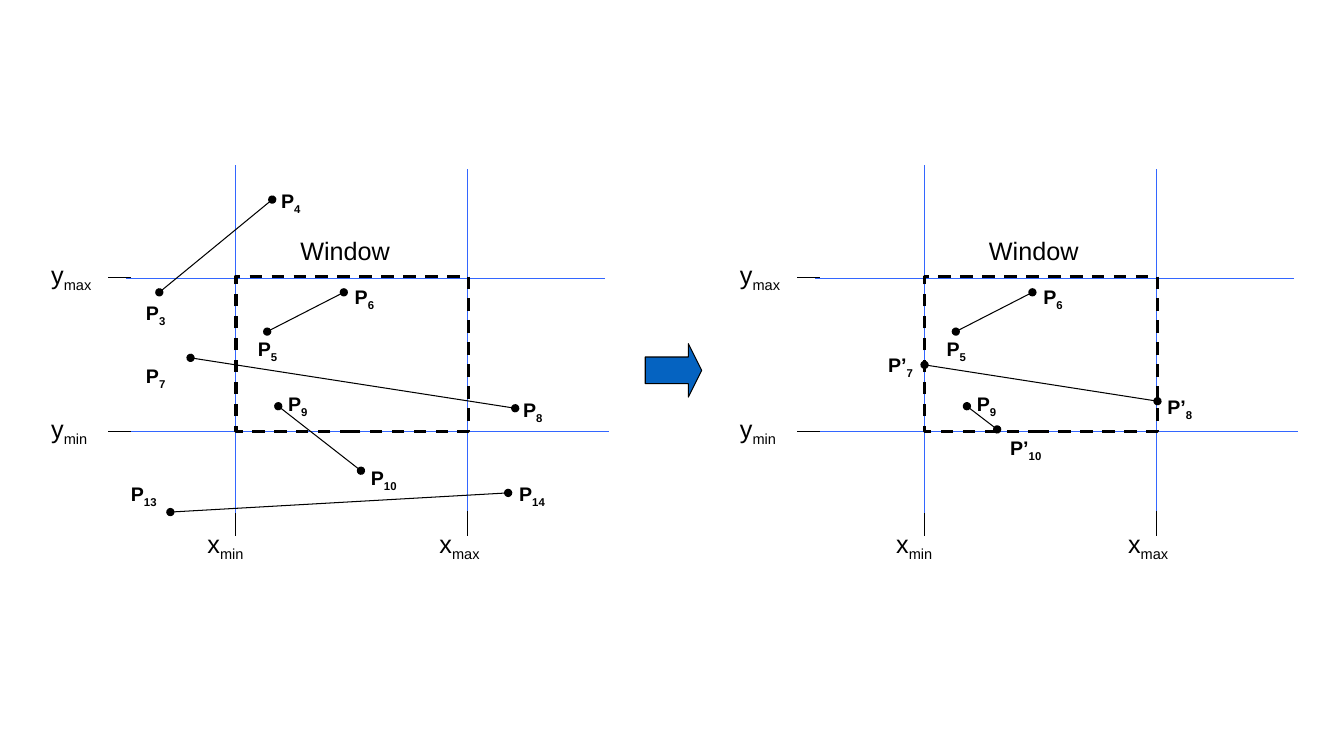
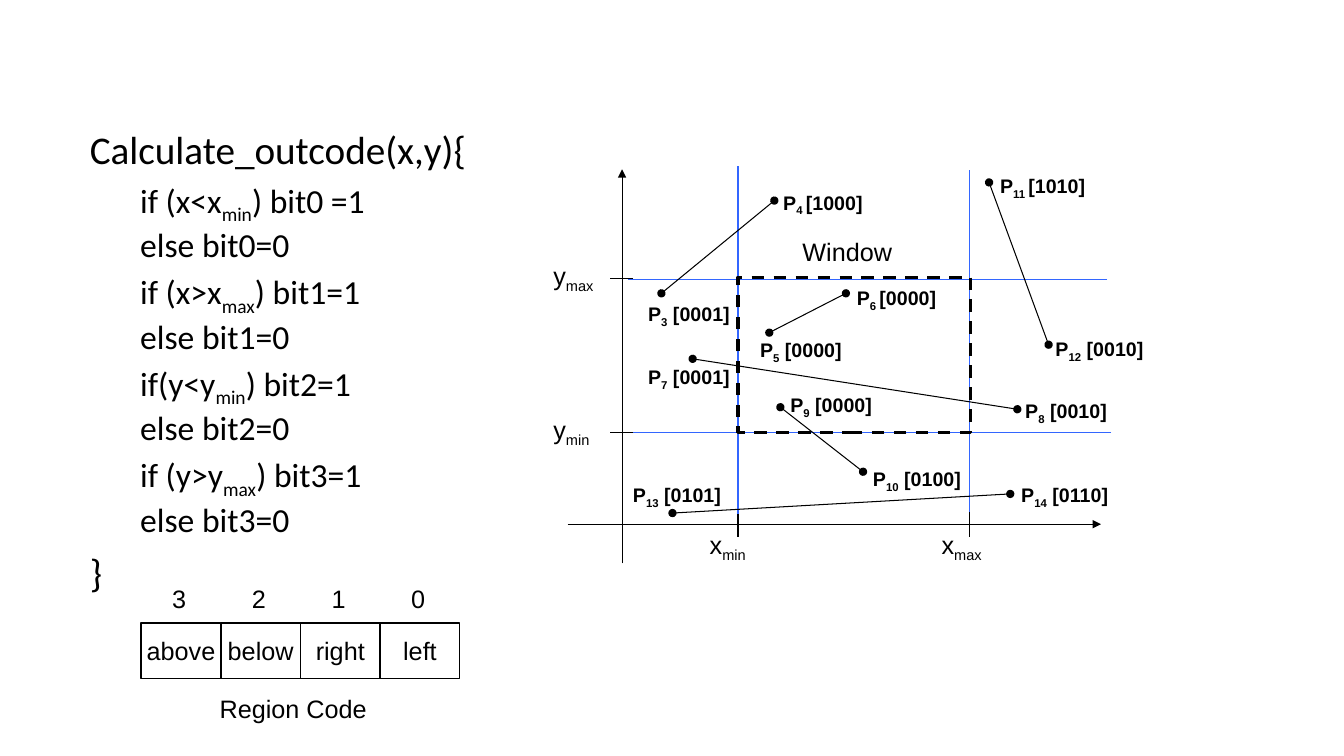
from dataclasses import dataclass

from lxml import etree
from pptx import Presentation
from pptx.dml.color import RGBColor
from pptx.enum.dml import MSO_LINE
from pptx.enum.shapes import MSO_CONNECTOR, MSO_SHAPE
from pptx.enum.text import MSO_ANCHOR, MSO_AUTO_SIZE, PP_ALIGN
from pptx.oxml.ns import qn
from pptx.util import Pt

PX = 9144  # EMU per px, 100 px to the inch
RECT, ARROW = MSO_SHAPE.RECTANGLE, MSO_SHAPE.RIGHT_ARROW
STRAIGHT, DASH = MSO_CONNECTOR.STRAIGHT, MSO_LINE.DASH
LEFT, CENTER = PP_ALIGN.LEFT, PP_ALIGN.CENTER
TOP, MIDDLE = MSO_ANCHOR.TOP, MSO_ANCHOR.MIDDLE
NOFIT = MSO_AUTO_SIZE.NONE


@dataclass(frozen=True)
class Theme:
    ink: str = "000000"
    grid: str = "3366FF"
    arrow: str = "0563C1"
    sans: str = "Arial"
    body: str = "Calibri"
    head: int = 28
    item: int = 24
    label: int = 18
    point: int = 14
    thin: float = 0.75
    cell: float = 1
    bold: float = 2.25


T = Theme()

# Point and label corner, from the panel's top left; "|" toggles subscript
POINTS = {
    "P|3": (117, 126, 94, 130), "P|4": (229, 34, 228, 19),
    "P|5": (224, 165, 205, 165), "P|6": (300, 126, 301, 114),
    "P|7": (148, 191, 94, 192), "P|8": (470, 241, 468, 226),
    "P|9": (235, 239, 235, 220), "P|10": (317, 303, 317, 293),
    "P|11": (442, 16, 443, 3), "P|12": (501, 177, 498, 164),
    "P|13": (128, 344, 79, 309), "P|14": (463, 325, 464, 309),
    "P’|7": (193, 198, 147, 181), "P’|8": (424, 234, 424, 223),
    "P’|10": (265, 262, 268, 264),
}
CODES = {
    "P|3": "| [0001]", "P|4": " |[1000]", "P|5": "| [0000]",
    "P|6": " |[0000]", "P|7": "| [0001]", "P|8": "| [0010]",
    "P|9": "| [0000]", "P|10": "| [0100]", "P|11": " |[1010]",
    "P|12": "| [0010]", "P|13": "| [0101]", "P|14": "| [0110]",
}
LINES = [("P|3", "P|4"), ("P|5", "P|6"), ("P|7", "P|8"),
         ("P|9", "P|10"), ("P|13", "P|14")]
CLIPPED = [("P|5", "P|6"), ("P’|7", "P’|8"), ("P|9", "P’|10")]
CODE = [
    "Calculate_outcode(x,y){",
    "if (x<x|min|) bit0 =1", "else bit0=0",
    "if (x>x|max|) bit1=1", "else bit1=0",
    "if(y<y|min|) bit2=1", "else bit2=0",
    "if (y>y|max|) bit3=1", "else bit3=0",
    "}",
]


def emu(*vals):
    return [round(v * PX) for v in vals]


def rgb(tint):
    return RGBColor.from_string(tint)


def write(para, words, size, font=T.sans, bold=False):
    """Add runs to a paragraph; parts between bars are subscripts."""
    for i, part in enumerate(words.split("|")):
        run = para.add_run()
        run.text = part
        run.font.name, run.font.size = font, Pt(size)
        run.font.bold = bold
        run.font.color.rgb = rgb(T.ink)
        if i % 2:
            run.font._element.set("baseline", "-25000")


def fill_text(shape, words, size=T.label, align=LEFT, anchor=TOP,
              wrap=True, bold=False):
    frame = shape.text_frame
    frame.word_wrap, frame.auto_size = wrap, NOFIT
    frame.vertical_anchor = anchor
    para = frame.paragraphs[0]
    para.alignment = align
    write(para, words, size, bold=bold)


def text(shapes, words, x, y, w, h=40, **look):
    fill_text(shapes.add_textbox(*emu(x, y, w, h)), words, **look)


def block(shapes, kind, x, y, w, h, width, fill=None, dash=None):
    shape = shapes.add_shape(kind, *emu(x, y, w, h))
    shape.shadow.inherit = False
    if fill:
        shape.fill.solid()
        shape.fill.fore_color.rgb = rgb(fill)
    else:
        shape.fill.background()
    shape.line.color.rgb, shape.line.width = rgb(T.ink), Pt(width)
    if dash:
        shape.line.dash_style = dash
    return shape


def line(shapes, x1, y1, x2, y2, tint=T.ink, head=None, tail=None):
    link = shapes.add_connector(STRAIGHT, *emu(x1, y1, x2, y2))
    link.line.color.rgb, link.line.width = rgb(tint), Pt(T.thin)
    props = link._element.spPr
    for tag, end in (("a:headEnd", head), ("a:tailEnd", tail)):
        if end:
            etree.SubElement(props.find(qn("a:ln")), qn(tag), type=end)
    etree.SubElement(props, qn("a:effectLst"))


def panel(slide, x, y, pairs, codes=None, axes=False):
    """Draw the clip window, its grid and the given point pairs."""
    shapes = slide.shapes.add_group_shape().shapes

    def rule(x1, y1, x2, y2, **look):
        line(shapes, x + x1, y + y1, x + x2, y + y2, **look)

    for ends in ((193, 0, 193, 347), (423, 4, 423, 351),
                 (559, 112, 84, 112), (563, 264, 89, 264)):
        rule(*ends, tint=T.grid)
    if axes:
        rule(24, 355, 553, 355, tail="triangle")
        rule(78, 394, 78, 3, tail="triangle")
    block(shapes, RECT, x + 193, y + 110, 231, 154, T.bold, dash=DASH)
    for ends in ((89, 111, 66, 111), (89, 264, 66, 264),
                 (193, 345, 193, 368), (423, 343, 423, 368)):
        rule(*ends)
    for words, left, top in (("y|max", 0, 88), ("y|min", 0, 241),
                             ("x|min", 155, 355), ("x|max", 385, 355)):
        text(shapes, words, x + left, y + top, 70)
    text(shapes, "Window", x + 247, y + 65, 115)
    for pair in pairs:
        (x1, y1, *_), (x2, y2, *_) = (POINTS[name] for name in pair)
        rule(x1, y1, x2, y2, head="oval", tail="oval")
        for name in pair:
            left, top = POINTS[name][2:]
            tag = codes[name] if codes else ""
            text(shapes, name + tag, x + left, y + top,
                 120 if codes else 60, 34, size=T.point, bold=True)


def listing(slide, x, y, w, h):
    """Set the code in the body placeholder, inner lines indented."""
    body = slide.placeholders[1]
    body.left, body.top, body.width, body.height = emu(x, y, w, h)
    frame = body.text_frame
    frame.auto_size = NOFIT
    for i, words in enumerate(CODE):
        para = frame.add_paragraph() if i else frame.paragraphs[0]
        inner = 0 < i < len(CODE) - 1
        para.level = int(inner)
        para.line_spacing = 0.9
        para.space_before = Pt(5 if inner else 10)
        props = para._p.get_or_add_pPr()
        props.set("marL", str(50 * PX if inner else 0))
        props.set("indent", "0")
        etree.SubElement(props, qn("a:buNone"))
        write(para, words, T.item if inner else T.head, font=T.body)


def region(slide, x, y):
    """Draw the four code bits with their numbers and caption."""
    shapes = slide.shapes.add_group_shape().shapes
    step = 79
    names = ("above", "below", "right", "left")
    for i, name in enumerate(names):
        left = x + i * step
        cell = block(shapes, RECT, left, y + 44, step, 55, T.cell)
        fill_text(cell, name, align=CENTER, anchor=MIDDLE, wrap=False)
        text(shapes, str(len(names) - 1 - i), left + 21, y, 36)
    text(shapes, "Region Code", x + 68, y + 109, 180)


def clip_slide(deck):
    slide = deck.slides.add_slide(deck.slide_layouts[6])
    panel(slide, 41, 164, LINES)
    panel(slide, 724, 164, CLIPPED)
    arrow = block(slide.shapes, ARROW, 640, 341, 56, 53, T.thin, fill=T.arrow)
    arrow.adjustments[0], arrow.adjustments[1] = 0.5, 0.25


def code_slide(deck):
    slide = deck.slides.add_slide(deck.slide_layouts[1])
    title = slide.shapes.title._element
    title.getparent().remove(title)
    listing(slide, 79, 125, 1150, 476)
    panel(slide, 539, 165, LINES + [("P|12", "P|11")], codes=CODES, axes=True)
    region(slide, 140, 574)


def main():
    deck = Presentation()
    deck.slide_width, deck.slide_height = emu(1333, 750)
    clip_slide(deck)
    code_slide(deck)
    deck.save("out.pptx")


if __name__ == "__main__":
    main()
